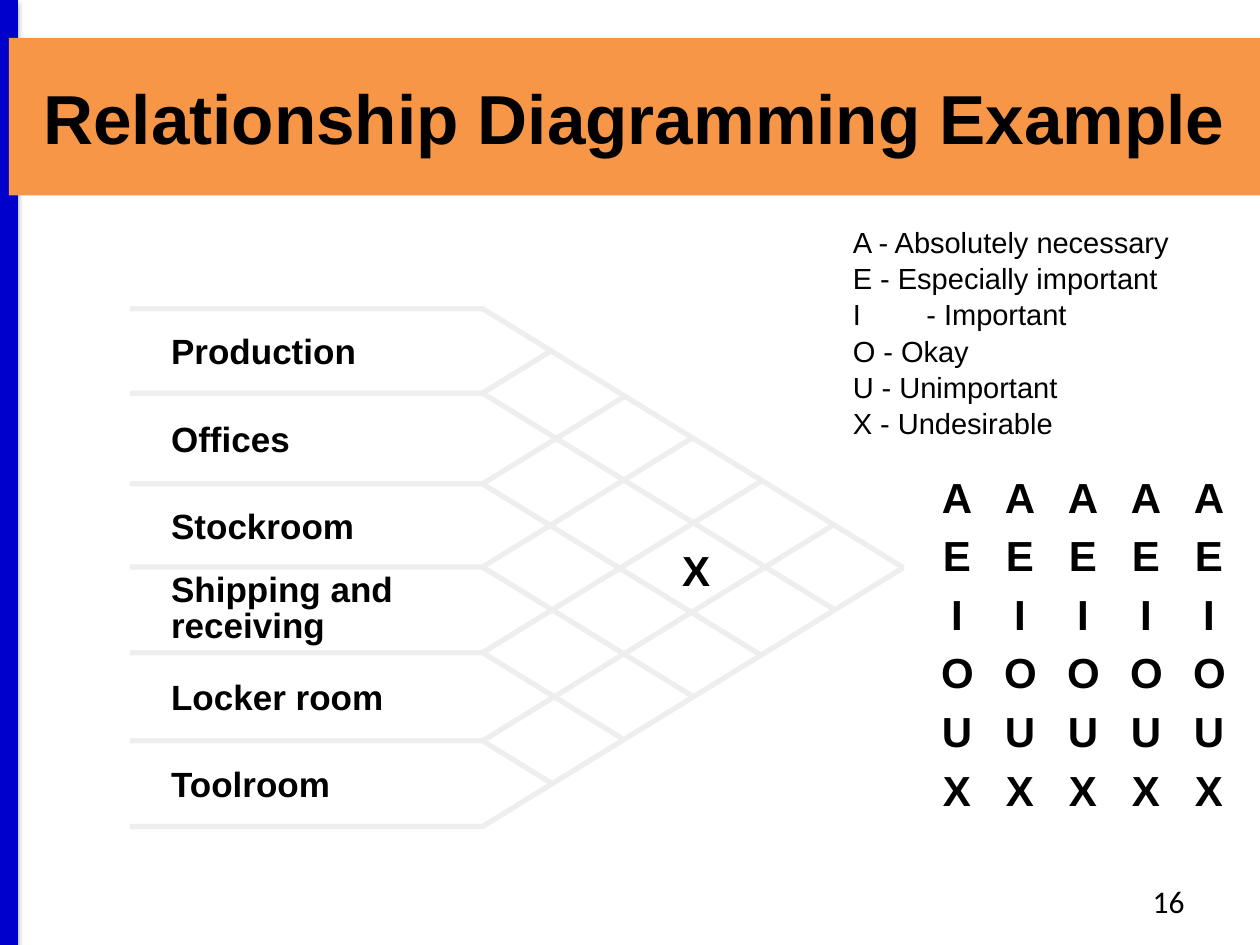
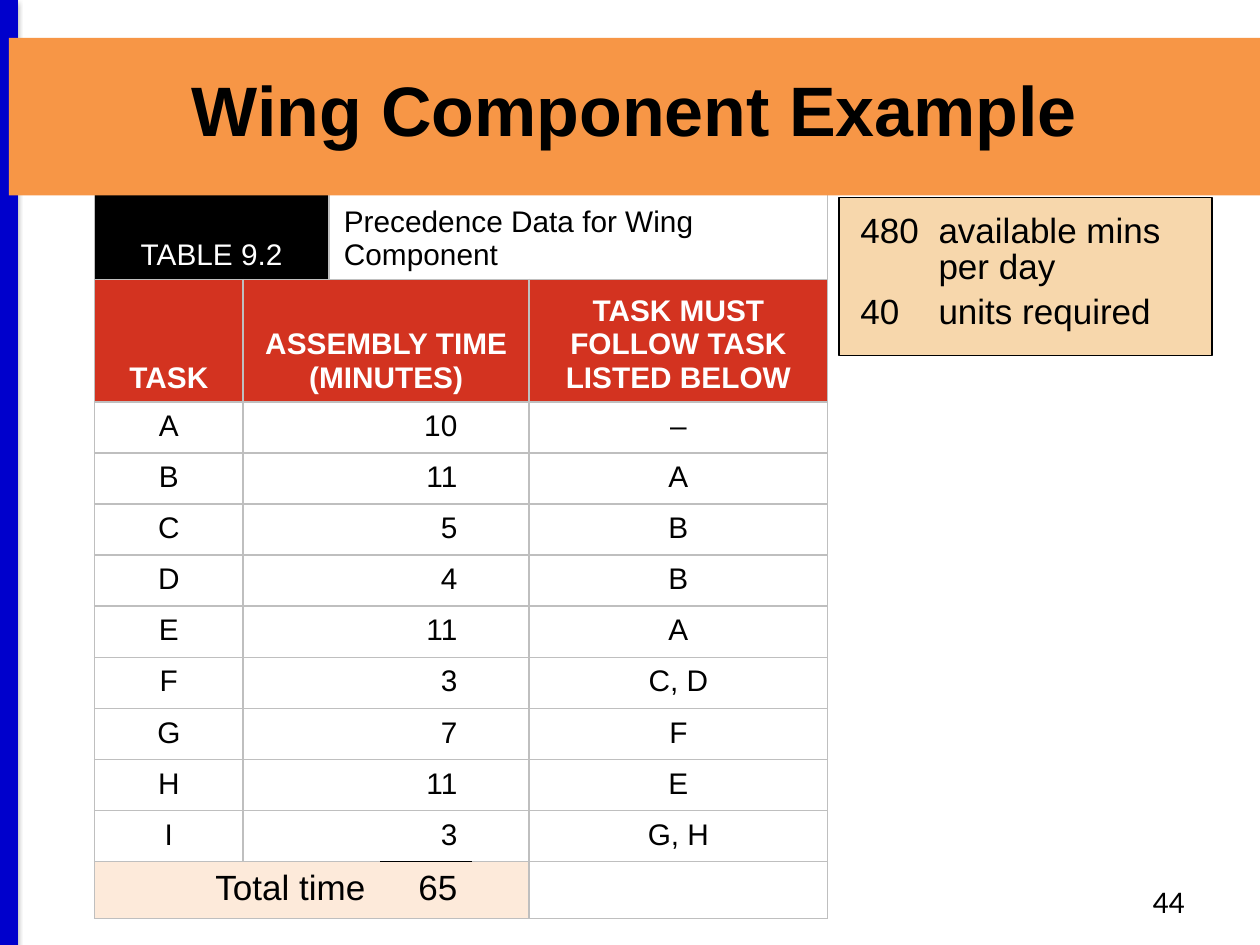
import lxml.etree
import pptx
import pptx.dml.color
import pptx.enum.dml
import pptx.enum.shapes
import pptx.enum.text
import pptx.oxml.ns
import pptx.util

Inches = pptx.util.Inches
Pt = pptx.util.Pt
RGBColor = pptx.dml.color.RGBColor
ALIGN = pptx.enum.text.PP_ALIGN
ANCHOR = pptx.enum.text.MSO_ANCHOR
qn = pptx.oxml.ns.qn

BLACK = RGBColor(0x00, 0x00, 0x00)
WHITE = RGBColor(0xFF, 0xFF, 0xFF)
BLUE = RGBColor(0x00, 0x00, 0xCC)
ORANGE = RGBColor(0xF7, 0x96, 0x46)
SAND = RGBColor(0xF7, 0xD7, 0xAC)
PEACH = RGBColor(0xFD, 0xEA, 0xDA)
RED = RGBColor(0xD3, 0x33, 0x20)
LATTICE_GRAY = RGBColor(0xEE, 0xEE, 0xEE)
BORDER_GRAY = RGBColor(0xBF, 0xBF, 0xBF)

DEPARTMENTS = [
    ("Production", 1),
    ("Offices", 1),
    ("Stockroom", 1),
    ("Shipping and receiving", 0.85),
    ("Locker room", 1),
    ("Toolroom", 1),
]
ROW_EDGES = [2.45, 3.12, 3.84, 4.5, 5.18, 5.88, 6.56]
LATTICE_LEFT, LATTICE_BEND, LATTICE_TIP = 1.03, 3.83, 7.17
RATINGS = "AEIOUX"
RATING_COLUMNS = 5
LEGEND = [
    "A - Absolutely necessary",
    "E - Especially important",
    "I\t - Important",
    "O - Okay",
    "U - Unimportant",
    "X - Undesirable",
]

TASKS = [
    ("A", "10", "–"),
    ("B", "11", "A"),
    ("C", "5", "B"),
    ("D", "4", "B"),
    ("E", "11", "A"),
    ("F", "3", "C, D"),
    ("G", "7", "F"),
    ("H", "11", "E"),
    ("I", "3", "G, H"),
]
COLUMN_WIDTHS = [1.18, 0.68, 0.41, 0.73, 0.45, 2.37]
ROW_HEIGHTS = [0.69, 0.97] + [0.4] * len(TASKS) + [0.45]
REQUIREMENTS = ["480\tavailable mins per day", "40\tunits required"]


def add_run(paragraph, text, size, color=BLACK, bold=False, font="Arial"):
    run = paragraph.add_run()
    run.text = text
    run.font.name = font
    run.font.size = Pt(size)
    run.font.bold = bold
    run.font.color.rgb = color


def add_text(slide, box, lines, size, bold=False, align=ALIGN.LEFT, anchor=ANCHOR.TOP,
             spacing=1, after=0, font="Arial", hanging=0, tab=None):
    shape = slide.shapes.add_textbox(*map(Inches, box))
    frame = shape.text_frame
    frame.word_wrap = True
    frame.vertical_anchor = anchor
    for index, line in enumerate(lines):
        paragraph = frame.add_paragraph() if index else frame.paragraphs[0]
        paragraph.alignment = align
        paragraph.line_spacing = spacing
        paragraph.space_after = Pt(after)
        if hanging:
            properties = paragraph._p.get_or_add_pPr()
            properties.set("marL", str(Inches(hanging)))
            properties.set("indent", str(-Inches(hanging)))
            if tab:
                tabs = lxml.etree.SubElement(properties, qn("a:tabLst"))
                lxml.etree.SubElement(tabs, qn("a:tab"), pos=str(Inches(tab)), algn="ctr")
        add_run(paragraph, line, size, bold=bold, font=font)


def add_line(slide, start, end, color, width):
    line = slide.shapes.add_connector(pptx.enum.shapes.MSO_CONNECTOR.STRAIGHT,
                                      *map(Inches, start + end))
    line.line.color.rgb = color
    line.line.width = Pt(width)
    effects = lxml.etree.SubElement(line.element.spPr, qn("a:effectLst"))
    return line, effects


def add_side_bar(presentation, slide):
    bar, effects = add_line(slide, (0.07, 0), (0.07, 7.5), BLUE, 10)
    shadow = lxml.etree.SubElement(effects, qn("a:outerShdw"), blurRad=str(Pt(3.1)),
                                   dist=str(Pt(1.6)), dir="5400000", rotWithShape="0")
    color = lxml.etree.SubElement(shadow, qn("a:srgbClr"), val=str(BLACK))
    lxml.etree.SubElement(color, qn("a:alpha"), val="38000")
    presentation.slide_master.placeholders[0].element.addprevious(bar.element)


def set_title(slide, text, size, spacing=1):
    title = slide.shapes.title
    title.left, title.top, title.width, title.height = map(Inches, (0.07, 0.3, 9.93, 1.25))
    title.fill.solid()
    title.fill.fore_color.rgb = ORANGE
    frame = title.text_frame
    frame.auto_size = pptx.enum.text.MSO_AUTO_SIZE.NONE
    frame.vertical_anchor = ANCHOR.MIDDLE
    paragraph = frame.paragraphs[0]
    paragraph.alignment = ALIGN.CENTER
    paragraph.line_spacing = spacing
    add_run(paragraph, text, size, bold=True)
    title.element.getparent().append(title.element)


def add_page_number(slide, number):
    add_text(slide, (7.17, 6.95, 2.33, 0.4), [number], 18, align=ALIGN.RIGHT, font="Calibri")


def add_bent_line(slide, y, end):
    points = [(LATTICE_LEFT, y), (LATTICE_BEND, y), end]
    corners = [(Inches(across), Inches(down)) for across, down in points]
    builder = slide.shapes.build_freeform(*corners[0])
    builder.add_line_segments(corners[1:], close=False)
    shape = builder.convert_to_shape()
    shape.shadow.inherit = False
    shape.fill.background()
    shape.line.color.rgb = LATTICE_GRAY
    shape.line.width = Pt(3)


def add_lattice(slide):
    top, bottom = ROW_EDGES[0], ROW_EDGES[-1]
    slope = (bottom - top) / 2 / (LATTICE_TIP - LATTICE_BEND)

    def falling_end(y):
        return LATTICE_BEND + (bottom - y) / 2 / slope, (y + bottom) / 2

    def rising_end(y):
        return LATTICE_BEND + (y - top) / 2 / slope, (y + top) / 2

    for y in ROW_EDGES[:-1]:
        add_bent_line(slide, y, falling_end(y))
    add_bent_line(slide, bottom, rising_end(bottom))
    for y in ROW_EDGES[1:-1]:
        add_line(slide, (LATTICE_BEND, y), rising_end(y), LATTICE_GRAY, 3)
    for (name, spacing), upper, lower in zip(DEPARTMENTS, ROW_EDGES, ROW_EDGES[1:]):
        add_text(slide, (1.26, upper, 2.1, lower - upper), [name], 20, bold=True,
                 anchor=ANCHOR.MIDDLE, spacing=spacing)


def add_rating(slide, left, top, letter):
    add_text(slide, (left, top, 0.45, 0.5), [letter], 24, bold=True, align=ALIGN.CENTER)


def build_relationship_slide(slide):
    set_title(slide, "Relationship Diagramming Example", 39.6)
    add_lattice(slide)
    add_rating(slide, 5.3, 4.27, "X")
    add_text(slide, (6.67, 1.72, 2.84, 1.86), LEGEND, 16.6, spacing=1.04, hanging=0.52, tab=0.11)
    for column in range(RATING_COLUMNS):
        for row, letter in enumerate(RATINGS):
            add_rating(slide, 7.37 + 0.5 * column, 3.69 + 0.465 * row, letter)
    add_page_number(slide, "16")


def set_borders(cell, left, right, top, bottom):
    properties = cell._tc.get_or_add_tcPr()
    for side, color in zip("LRTB", (left, right, top, bottom)):
        line = lxml.etree.SubElement(properties, qn("a:ln" + side), w=str(Pt(1)))
        if color is None:
            lxml.etree.SubElement(line, qn("a:noFill"))
        else:
            fill = lxml.etree.SubElement(line, qn("a:solidFill"))
            lxml.etree.SubElement(fill, qn("a:srgbClr"), val=str(color))


def table_rows():
    center, right, left = ALIGN.CENTER, ALIGN.RIGHT, ALIGN.LEFT
    yield [(0, 1, "TABLE 9.2", center, BLACK),
           (2, 5, "Precedence Data for Wing Component", left, None)]
    yield [(0, 0, "TASK", center, RED),
           (1, 4, "ASSEMBLY TIME (MINUTES)", center, RED),
           (5, 5, "TASK MUST FOLLOW TASK LISTED BELOW", center, RED)]
    for task, minutes, predecessors in TASKS:
        yield [(0, 0, task, center, None), (1, 2, "", left, None),
               (3, 3, minutes, right, None), (4, 4, "", left, None),
               (5, 5, predecessors, center, None)]
    total = sum(int(minutes) for _, minutes, _ in TASKS)
    yield [(0, 2, "Total time", right, PEACH), (3, 3, str(total), right, PEACH),
           (4, 4, "", left, PEACH), (5, 5, "", left, None)]


def add_precedence_table(slide):
    total_row = len(ROW_HEIGHTS) - 1
    frame = slide.shapes.add_table(len(ROW_HEIGHTS), len(COLUMN_WIDTHS), Inches(0.75), Inches(1.53),
                                   Inches(sum(COLUMN_WIDTHS)), Inches(sum(ROW_HEIGHTS)))
    table = frame.table
    table.first_row = False
    table.horz_banding = False
    for column, width in zip(table.columns, COLUMN_WIDTHS):
        column.width = Inches(width)
    for row, height in zip(table.rows, ROW_HEIGHTS):
        row.height = Inches(height)
    for row, spans in enumerate(table_rows()):
        for first, last, text, align, fill in spans:
            left = None if first in (3, 4) else BORDER_GRAY
            right = None if last in (2, 3) else BORDER_GRAY
            top = BLACK if first == 3 and row == total_row else BORDER_GRAY
            bottom = BLACK if first == 3 and row == total_row - 1 else BORDER_GRAY
            for column in range(first, last + 1):
                cell = table.cell(row, column)
                set_borders(cell, left, right, top, bottom)
                if fill is None:
                    cell.fill.background()
                else:
                    cell.fill.solid()
                    cell.fill.fore_color.rgb = fill
            cell = table.cell(row, first)
            if last > first:
                cell.merge(table.cell(row, last))
            if text:
                cell.margin_left = cell.margin_right = Inches(0.12)
                cell.margin_top = cell.margin_bottom = Inches(0.06)
                cell.vertical_anchor = ANCHOR.BOTTOM if row < 2 else ANCHOR.TOP
                paragraph = cell.text_frame.paragraphs[0]
                paragraph.alignment = align
                add_run(paragraph, text, 20 if row == total_row else 17,
                        color=WHITE if fill in (BLACK, RED) else BLACK, bold=row == 1)


def build_wing_slide(slide):
    add_precedence_table(slide)
    set_title(slide, "Wing Component Example", 40, spacing=0.8)
    panel = slide.shapes.add_shape(pptx.enum.shapes.MSO_SHAPE.RECTANGLE,
                                   *map(Inches, (6.66, 1.57, 2.96, 1.25)))
    panel.shadow.inherit = False
    panel.fill.solid()
    panel.fill.fore_color.rgb = SAND
    panel.line.color.rgb = BLACK
    panel.line.width = Pt(0.75)
    add_text(slide, (6.73, 1.66, 2.81, 1.05), REQUIREMENTS, 20, spacing=0.85, after=5, hanging=0.62)
    add_page_number(slide, "44")


def main():
    presentation = pptx.Presentation()
    presentation.slide_width = Inches(10)
    presentation.slide_height = Inches(7.5)
    title_only = presentation.slide_layouts[5]
    relationship_slide = presentation.slides.add_slide(title_only)
    add_side_bar(presentation, relationship_slide)
    build_relationship_slide(relationship_slide)
    build_wing_slide(presentation.slides.add_slide(title_only))
    presentation.save("out.pptx")


if __name__ == "__main__":
    main()
